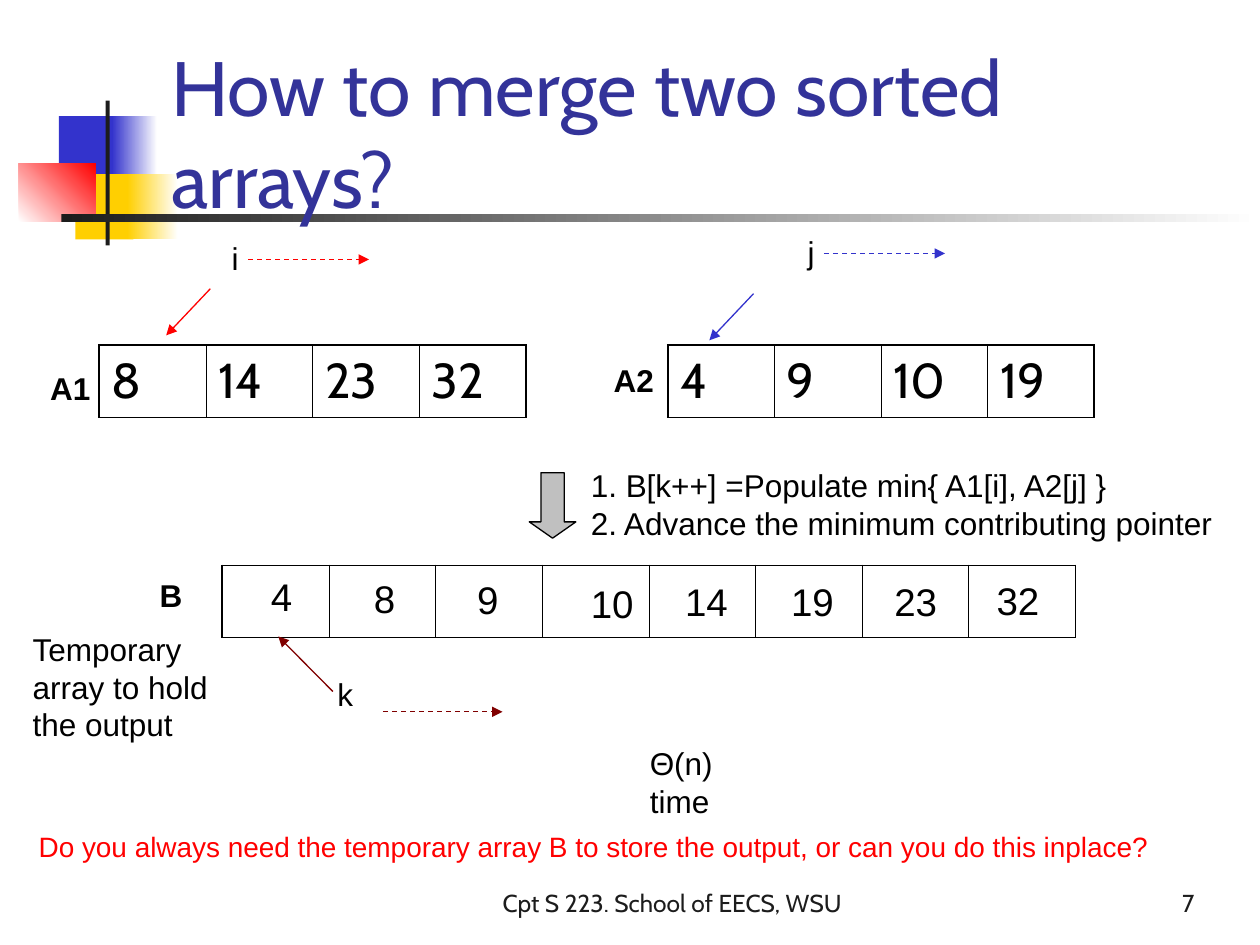
from lxml import etree
from pptx import Presentation
from pptx import util as u
from pptx.dml import color
from pptx.enum import dml, shapes, text
from pptx.oxml import ns

RGB = color.RGBColor
BLACK, INK, WHITE = RGB(0, 0, 0), RGB(0x1C, 0x1C, 0x1C), RGB(255, 255, 255)
RED, BLUE, MAROON = RGB(255, 0, 0), RGB(0x33, 0x33, 0xCC), RGB(0x80, 0, 0)
YELLOW, NAVY, GREY = RGB(0xFF, 0xCF, 0x01), RGB(0x33, 0x33, 0x99), RGB(0xC0, 0xC0, 0xC0)

TITLE = "How to merge two sorted arrays?"
DECOR = [
    ((1.19, 2.34, 1.22, 1.32), (BLUE,), 0),
    ((2.26, 2.34, 0.91, 1.32), (BLUE, WHITE), 0),
    ((1.52, 3.51, 1.17, 1.32), (YELLOW,), 0),
    ((2.57, 3.51, 1.02, 1.32), (YELLOW, WHITE), 0),
    ((0.38, 3.3, 1.55, 1.17), (WHITE, RED), 45),
    ((2.13, 2.03, 0.08, 2.92), (INK,), 0),
    ((1.24, 4.32, 24.16, 0.15), (INK, WHITE), 0),
]
ARRAYS = [
    (2, 6.96, ["8", "14", "23", "32"]),
    (13.46, 6.96, ["4", "9", "10", "19"]),
    (4.48, 11.4, [""] * 8),
]
CELL_W, CELL_H = 2.15, 1.45
MERGED = [
    ("4", 5.21, 11.43), ("8", 7.29, 11.46), ("9", 9.37, 11.48), ("10", 11.66, 11.56),
    ("14", 13.56, 11.53), ("19", 15.7, 11.53), ("23", 17.78, 11.53), ("32", 19.84, 11.51),
]
PLAIN = dict(size=u.Pt(18), name="Arial", bold=False)
BOLD = dict(PLAIN, bold=True)
VALUE = dict(PLAIN, size=u.Pt(22))
QUESTION = dict(PLAIN, size=u.Pt(16))
CELL = dict(size=u.Pt(28), name="Cabin", bold=False)
FOOTER = dict(CELL, size=u.Pt(14))
HEADING = dict(CELL, size=u.Pt(44))

LABELS = [
    (["Do you always need the temporary array B to store the output, or can you do this inplace?"],
     (0.53, 16.59, 22.89, 0.94), QUESTION, RED),
    (["A1"], (0.76, 7.32, 1.32, 1.02), BOLD, BLACK),
    (["A2"], (12.12, 7.16, 1.32, 1.02), BOLD, BLACK),
    (["Temporary ", "array to hold", "the output"], (0.41, 12.57, 4.04, 2.54), PLAIN, BLACK),
    (["B"], (2.97, 11.48, 0.97, 1.02), BOLD, BLACK),
    (["i"], (4.42, 4.7, 0.64, 1.02), PLAIN, BLACK),
    (["j"], (16.03, 4.57, 0.64, 1.02), PLAIN, BLACK),
    (["k"], (6.55, 13.49, 0.81, 1.02), PLAIN, BLACK),
    (["1. B[k++] =Populate min{ A1[i], A2[j] }", "2. Advance the minimum contributing pointer"],
     (11.66, 9.27, 13.06, 1.78), PLAIN, BLACK),
]
WRAPPED = [
    ("Θ(n) time", (12.85, 14.88, 3, 1.78), PLAIN, BLACK, "LEFT", "TOP"),
    ("Cpt S 223. School of EECS, WSU", (9.53, 17.35, 8.05, 1.27), FOOTER, INK, "CENTER", "BOTTOM"),
    ("7", (19.05, 17.35, 5.28, 1.27), FOOTER, INK, "RIGHT", "BOTTOM"),
]
POINTERS = [
    ((4.24, 5.82, 3.35, 6.76), RED, False),
    ((15.19, 5.92, 14.3, 6.86), BLUE, False),
    ((5, 5.23, 7.44, 5.23), RED, True),
    ((16.61, 5.11, 19.05, 5.11), BLUE, True),
    ((6.71, 13.94, 5.61, 12.83), MAROON, False),
    ((7.72, 14.35, 10.13, 14.35), MAROON, True),
]
STEP_ARROW = (10.67, 9.53, 0.94, 1.32)


def cm(lengths):
    return [u.Cm(length) for length in lengths]


def style(frame, font_format, rgb, align="LEFT"):
    for paragraph in frame.paragraphs:
        paragraph.alignment = getattr(text.PP_ALIGN, align)
        for run in paragraph.runs:
            for key, value in font_format.items():
                setattr(run.font, key, value)
            run.font.color.rgb = rgb


def add_label(slide, lines, box, font_format, rgb, align="LEFT", anchor="TOP", wrap=False):
    frame = slide.shapes.add_textbox(*cm(box)).text_frame
    frame.text = "\v".join(lines)
    frame.word_wrap = wrap
    frame.auto_size = text.MSO_AUTO_SIZE.NONE if wrap else text.MSO_AUTO_SIZE.SHAPE_TO_FIT_TEXT
    frame.vertical_anchor = getattr(text.MSO_ANCHOR, anchor)
    style(frame, font_format, rgb, align)


def add_preset(slide, preset, box, colours, angle=0):
    shape = slide.shapes.add_shape(preset, *cm(box))
    shape.shadow.inherit = False
    shape.line.fill.background()
    if len(colours) == 1:
        shape.fill.solid()
        shape.fill.fore_color.rgb = colours[0]
    else:
        shape.fill.gradient()
        shape.fill.gradient_angle = angle
        for stop, rgb in zip(shape.fill.gradient_stops, colours):
            stop.color.rgb = rgb
    return shape


def add_pointer(slide, ends, rgb, dashed):
    pointer = slide.shapes.add_connector(shapes.MSO_CONNECTOR.STRAIGHT, *cm(ends))
    pointer.line.color.rgb = rgb
    pointer.line.width = u.Pt(0.75)
    if dashed:
        pointer.line.dash_style = dml.MSO_LINE.DASH
    etree.SubElement(pointer.line._get_or_add_ln(), ns.qn("a:tailEnd"), type="triangle")
    etree.SubElement(pointer.element.spPr, ns.qn("a:effectLst"))


def add_borders(cell, widths):
    for index, (side, points) in enumerate(widths.items()):
        border = etree.Element(ns.qn("a:ln" + side), w=str(u.Pt(points)))
        fill = etree.SubElement(border, ns.qn("a:solidFill"))
        etree.SubElement(fill, ns.qn("a:srgbClr"), val=str(BLACK))
        cell._tc.get_or_add_tcPr().insert(index, border)


def add_array(slide, left, top, values):
    box = cm((left, top, CELL_W * len(values), CELL_H))
    table = slide.shapes.add_table(1, len(values), *box).table
    table.first_row = table.horz_banding = False
    last = len(values) - 1
    for index, value in enumerate(values):
        table.columns[index].width = u.Cm(CELL_W)
        cell = table.cell(0, index)
        cell.text = value
        cell.fill.background()
        cell.text_frame.paragraphs[0].space_before = u.Pt(7)
        style(cell.text_frame, CELL, BLACK)
        add_borders(cell, dict(L=0.45 if index else 1.08, R=0.45 if index < last else 1.08,
                               T=1.08, B=1.08))


def main():
    deck = Presentation()
    deck.slide_width, deck.slide_height = cm((25.4, 19.05))
    slide = deck.slides.add_slide(deck.slide_layouts[5])
    title = slide.shapes.title

    for box, colours, angle in DECOR:
        add_preset(slide, shapes.MSO_SHAPE.RECTANGLE, box, colours, angle)

    title.element.getparent().append(title.element)
    title.left, title.top, title.width, title.height = cm((3.2, 0.58, 21.64, 4.06))
    title.text_frame.text = TITLE
    title.text_frame.auto_size = text.MSO_AUTO_SIZE.NONE
    title.text_frame.vertical_anchor = text.MSO_ANCHOR.BOTTOM
    style(title.text_frame, HEADING, NAVY)

    for left, top, values in ARRAYS:
        add_array(slide, left, top, values)
    for label in LABELS:
        add_label(slide, *label)
    for value, left, top in MERGED:
        add_label(slide, [value], (left, top, 0.51 + 0.43 * len(value), 1.19), VALUE, BLACK)
    for content, *rest in WRAPPED:
        add_label(slide, [content], *rest, wrap=True)
    for pointer in POINTERS:
        add_pointer(slide, *pointer)

    step = add_preset(slide, shapes.MSO_SHAPE.DOWN_ARROW, STEP_ARROW, (GREY,))
    step.adjustments[0], step.adjustments[1] = 0.5, 0.35
    step.line.color.rgb = BLACK
    step.line.width = u.Pt(0.75)
    deck.save("out.pptx")


if __name__ == "__main__":
    main()
